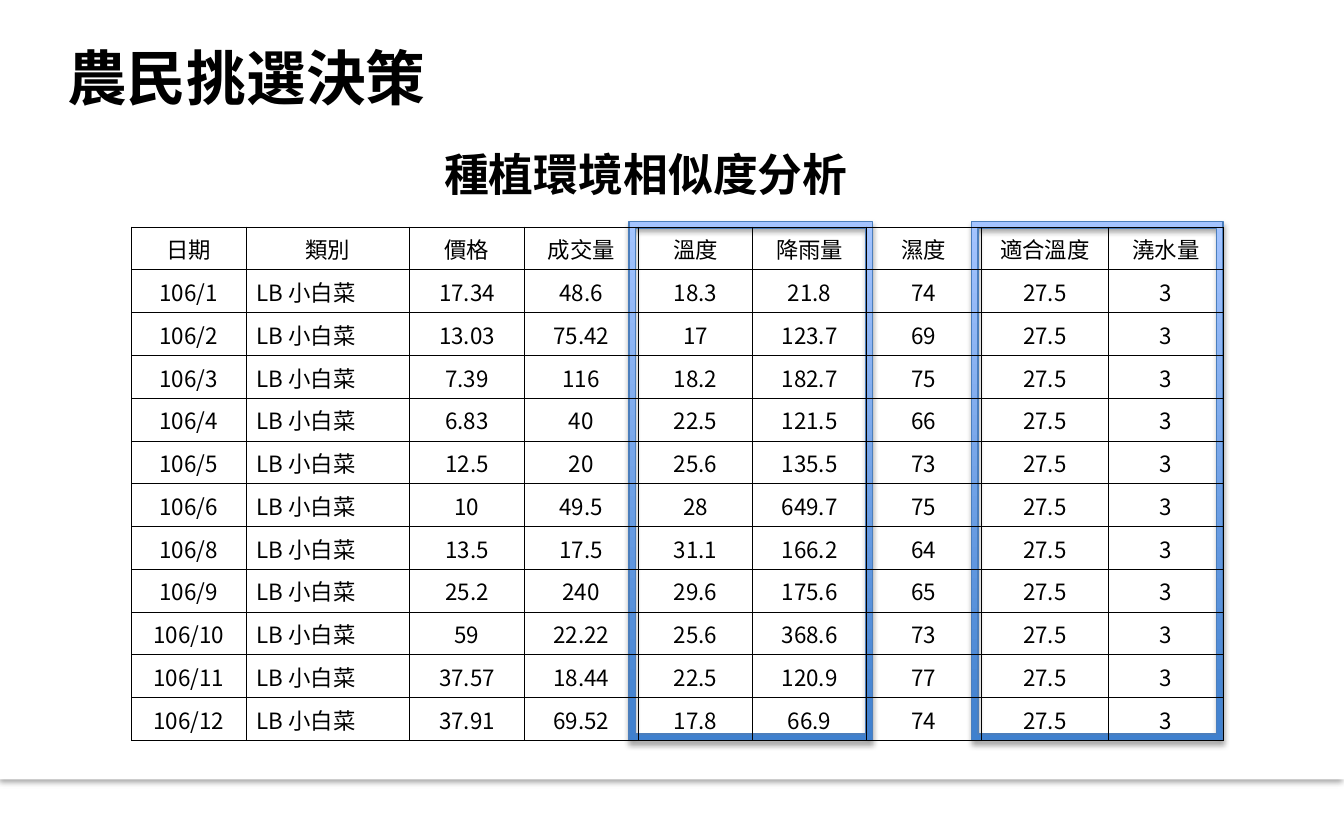
from dataclasses import dataclass
from lxml import etree
from pptx import Presentation
from pptx.dml.color import RGBColor
from pptx.enum.shapes import MSO_SHAPE
from pptx.enum.text import MSO_ANCHOR, MSO_AUTO_SIZE, PP_ALIGN
from pptx.oxml.ns import qn
from pptx.util import Inches, Pt

RECT, FRAME = MSO_SHAPE.RECTANGLE, MSO_SHAPE.FRAME
MIDDLE, NO_FIT = MSO_ANCHOR.MIDDLE, MSO_AUTO_SIZE.NONE
LEFT, CENTER = PP_ALIGN.LEFT, PP_ALIGN.CENTER


@dataclass(frozen=True)
class Theme:
    ink: str = "000000"
    paper: str = "FFFFFF"
    frame_line: str = "4B7EBC"
    frame_stops: tuple = ("3F80CE", "A4C4FF")
    heading_font: str = "Noto Sans CJK SC"
    table_font: str = "Noto Sans CJK TC"
    title_size: int = 32
    subtitle_size: int = 24
    table_size: int = 12


def rgb(color):
    return RGBColor.from_string(color)


def child(parent, tag, **attrs):
    return etree.SubElement(parent, qn(tag), {k: str(v) for k, v in attrs.items()})


class SlideBuilder:
    def __init__(self, slide, theme):
        self.s, self.theme = slide, theme

    def put_text(self, tf, text, size, font, bold=False, align=CENTER):
        tf.text = text
        p = tf.paragraphs[0]
        p.alignment = align
        r = p.runs[0]
        r.font.size, r.font.bold, r.font.name = Pt(size), bold, font
        r.font.color.rgb = rgb(self.theme.ink)
        child(r.font._element, "a:ea", typeface=font)

    def heading(self, sp, box, text, size):
        sp.left, sp.top, sp.width, sp.height = map(Inches, box)
        tf = sp.text_frame
        tf.word_wrap, tf.auto_size, tf.vertical_anchor = True, NO_FIT, MIDDLE
        tf.margin_top = tf.margin_bottom = 0
        self.put_text(tf, text, size, self.theme.heading_font, bold=True)

    def title(self, box, text):
        sp = self.s.shapes.title
        self.s.shapes.element.append(sp.element)
        self.heading(sp, box, text, self.theme.title_size)

    def subtitle(self, box, text):
        sp = self.s.shapes.add_textbox(*map(Inches, box))
        self.heading(sp, box, text, self.theme.subtitle_size)

    def shadowed(self, kind, box):
        sp = self.s.shapes.add_shape(kind, *map(Inches, box))
        sp.shadow.inherit = False
        effects = sp.element.spPr.find(qn("a:effectLst"))
        shadow = child(effects, "a:outerShdw", blurRad=Pt(3.1), dist=Pt(1.8),
                       dir=90 * 60000, rotWithShape=0)
        child(child(shadow, "a:srgbClr", val=self.theme.ink), "a:alpha", val=35000)
        return sp

    def panel(self, box):
        sp = self.shadowed(RECT, box)
        sp.fill.solid()
        sp.fill.fore_color.rgb = rgb(self.theme.paper)
        sp.line.fill.background()

    def highlight(self, box):
        sp = self.shadowed(FRAME, box)
        sp.adjustments[0] = 0.026
        sp.fill.gradient()
        sp.fill.gradient_angle = 90
        for stop, color in zip(sp.fill.gradient_stops, self.theme.frame_stops):
            stop.color.rgb = rgb(color)
        sp.line.color.rgb = rgb(self.theme.frame_line)
        sp.line.width = Pt(0.75)

    def borders(self, cell):
        tcPr = cell._tc.get_or_add_tcPr()
        for i, side in enumerate("LRTB"):
            ln = child(tcPr, f"a:ln{side}", w=Pt(0.5))
            child(child(ln, "a:solidFill"), "a:srgbClr", val=self.theme.ink)
            tcPr.insert(i, ln)

    def table(self, box, widths, rows):
        shape = self.s.shapes.add_table(len(rows), len(widths), *map(Inches, box))
        table = shape.table
        table.first_row = table.horz_banding = False
        for column, width in zip(table.columns, widths):
            column.width = Inches(width)
        for i, values in enumerate(rows):
            table.rows[i].height = Inches(box[3] / len(rows))
            for j, value in enumerate(values):
                cell = table.cell(i, j)
                category = i > 0 and j == 1
                cell.fill.background()
                self.borders(cell)
                cell.vertical_anchor = MIDDLE
                cell.margin_left = Inches(0.08 if category else 0.01)
                cell.margin_right = cell.margin_top = Inches(0.01)
                cell.margin_bottom = 0
                self.put_text(cell.text_frame, value, self.theme.table_size,
                              self.theme.table_font, align=LEFT if category else CENTER)


HEADER = ["日期", "類別", "價格", "成交量", "溫度", "降雨量", "濕度", "適合溫度", "澆水量"]
CATEGORY, SUITABLE_TEMPERATURE, WATERING = "LB 小白菜", "27.5", "3"
MONTHS = [
    ("106/1", "17.34", "48.6", "18.3", "21.8", "74"),
    ("106/2", "13.03", "75.42", "17", "123.7", "69"),
    ("106/3", "7.39", "116", "18.2", "182.7", "75"),
    ("106/4", "6.83", "40", "22.5", "121.5", "66"),
    ("106/5", "12.5", "20", "25.6", "135.5", "73"),
    ("106/6", "10", "49.5", "28", "649.7", "75"),
    ("106/8", "13.5", "17.5", "31.1", "166.2", "64"),
    ("106/9", "25.2", "240", "29.6", "175.6", "65"),
    ("106/10", "59", "22.22", "25.6", "368.6", "73"),
    ("106/11", "37.57", "18.44", "22.5", "120.9", "77"),
    ("106/12", "37.91", "69.52", "17.8", "66.9", "74"),
]
ROWS = [HEADER] + [
    [month, CATEGORY, *measures, SUITABLE_TEMPERATURE, WATERING]
    for month, *measures in MONTHS
]
WIDTHS = [0.85, 1.22] + [0.85] * 5 + [0.95, 0.85]

prs = Presentation()
prs.slide_width, prs.slide_height = Inches(10), Inches(6.25)
slide = SlideBuilder(prs.slides.add_slide(prs.slide_layouts[5]), Theme())
slide.panel((0, 0, 10, 5.8))
slide.title((0.25, 0.25, 3.17, 0.64), "農民挑選決策")
slide.subtitle((3.11, 1.04, 3.39, 0.5), "種植環境相似度分析")
for left, width in ((4.68, 1.81), (7.23, 1.87)):
    slide.highlight((left, 1.65, width, 3.86))
slide.table((0.98, 1.69, sum(WIDTHS), 3.82), WIDTHS, ROWS)
prs.save("out.pptx")
